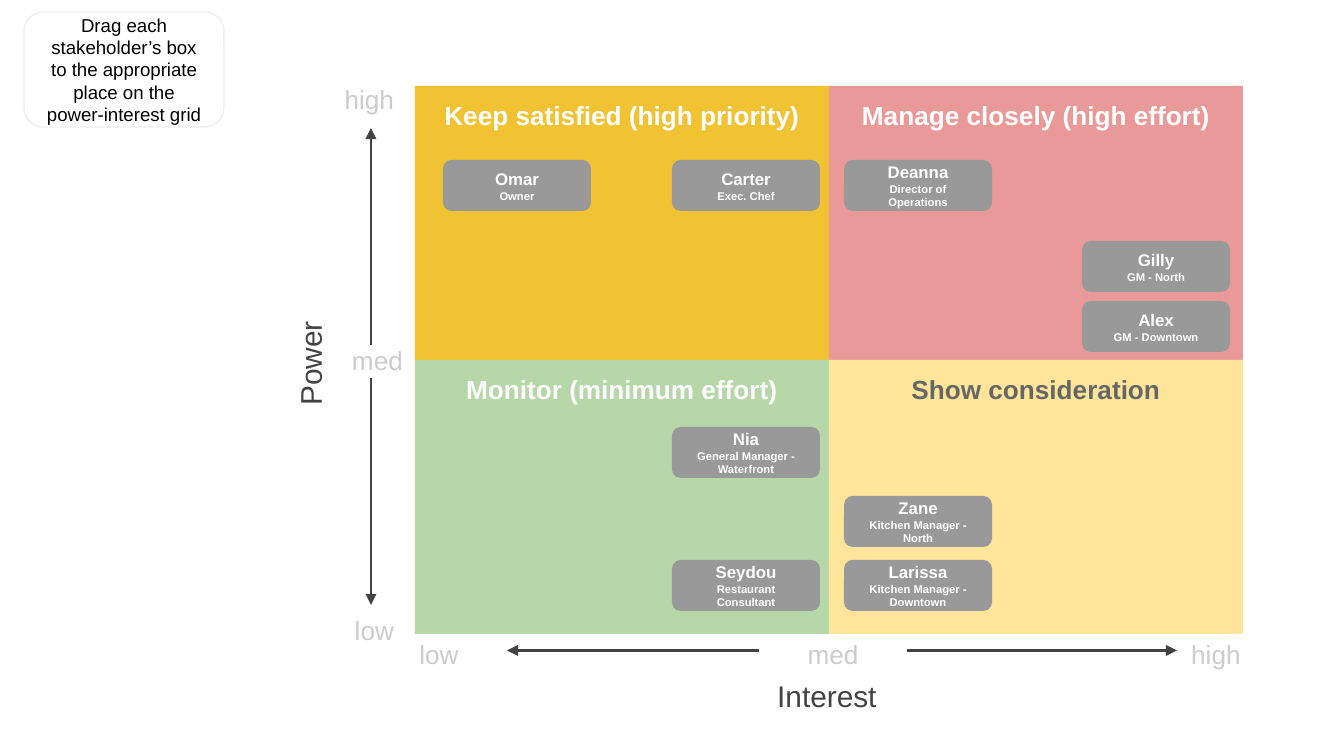
from lxml import etree
from pptx import Presentation
from pptx.dml.color import RGBColor
from pptx.enum.shapes import MSO_CONNECTOR, MSO_SHAPE
from pptx.enum.text import MSO_ANCHOR, PP_ALIGN
from pptx.oxml.ns import qn
from pptx.util import Pt

RECT, ROUND = MSO_SHAPE.RECTANGLE, MSO_SHAPE.ROUNDED_RECTANGLE
LINE = MSO_CONNECTOR.STRAIGHT
MID, TOP = MSO_ANCHOR.MIDDLE, MSO_ANCHOR.TOP
CENTER, RIGHT = PP_ALIGN.CENTER, PP_ALIGN.RIGHT

WHITE = RGBColor(0xFF, 0xFF, 0xFF)
BLACK = RGBColor(0, 0, 0)
DARK = RGBColor(0x43, 0x43, 0x43)
SLATE = RGBColor(0x66, 0x66, 0x66)
GRAY = RGBColor(0x99, 0x99, 0x99)
PALE = RGBColor(0xCC, 0xCC, 0xCC)
EDGE = RGBColor(0xEF, 0xEF, 0xEF)
GOLD = RGBColor(0xF1, 0xC2, 0x32)
ROSE = RGBColor(0xEA, 0x99, 0x99)
GREEN = RGBColor(0xB6, 0xD7, 0xA8)
CREAM = RGBColor(0xFF, 0xE5, 0x99)

# Content: quadrants run row by row
QUADS = [
    ("Keep satisfied (high priority)", GOLD, WHITE),
    ("Manage closely (high effort)", ROSE, WHITE),
    ("Monitor (minimum effort)", GREEN, WHITE),
    ("Show consideration", CREAM, SLATE),
]
# Name, role, left, top
PEOPLE = [
    ("Omar", "Owner", 443, 160),
    ("Deanna", "Director of Operations", 844, 160),
    ("Carter", "Exec. Chef", 672, 160),
    ("Gilly", "GM - North", 1082, 241),
    ("Alex", "GM - Downtown", 1082, 301),
    ("Zane", "Kitchen Manager - North", 844, 496),
    ("Larissa", "Kitchen Manager - Downtown", 844, 560),
    ("Seydou", "Restaurant Consultant", 672, 560),
    ("Nia", "General Manager - Waterfront", 672, 427),
]
NOTE = "Drag each stakeholder’s box to the appropriate place on the power-interest grid"
# Text, box
POWER = [
    ("high", (228, 70, 179, 35)),
    ("med", (325, 331, 91, 59)),
    ("low", (228, 601, 179, 35)),
]
INTEREST = [
    ("low", (371, 625, 136, 51)),
    ("med", (759, 625, 148, 51)),
    ("high", (1148, 625, 136, 51)),
]
GRID_X, GRID_Y, QUAD_W, QUAD_H = 415, 86, 414, 274
CARD_W, CARD_H = 148, 51
INSET = 13

SCALE = 914400 / 134.4


def px(n):
    return round(n * SCALE)


prs = Presentation()
prs.slide_width, prs.slide_height = px(1344), px(756)
slide = prs.slides.add_slide(prs.slide_layouts[6])
shapes = slide.shapes


def write(shape, *texts, sizes=(14,), color=DARK, bold=False, align=CENTER, anchor=TOP):
    frame = shape.text_frame
    frame.word_wrap = True
    frame.vertical_anchor = anchor
    frame.margin_left = frame.margin_right = px(INSET)
    frame.margin_top = frame.margin_bottom = px(INSET)
    for i, (text, size) in enumerate(zip(texts, sizes)):
        para = frame.add_paragraph() if i else frame.paragraphs[0]
        para.alignment = align
        run = para.add_run()
        run.text = text
        font = run.font
        font.name, font.size, font.bold = "Arial", Pt(size), bold
        font.color.rgb = color


def block(kind, box, fill=None, edge=None):
    shape = shapes.add_shape(kind, *map(px, box))
    shape.shadow.inherit = False
    if fill is None:
        shape.fill.background()
    else:
        shape.fill.solid()
        shape.fill.fore_color.rgb = fill
    if edge is None:
        shape.line.fill.background()
    else:
        shape.line.color.rgb = edge
        shape.line.width = Pt(0.75)
    return shape


def label(text, box, **style):
    shape = shapes.add_textbox(*map(px, box))
    write(shape, text, **style)
    return shape


def arrow(x1, y1, x2, y2):
    line = shapes.add_connector(LINE, *map(px, (x1, y1, x2, y2)))
    line.line.color.rgb = DARK
    line.line.width = Pt(1.5)
    props = line.line._get_or_add_ln()
    etree.SubElement(props, qn("a:tailEnd"), type="triangle")
    etree.SubElement(props.getparent(), qn("a:effectLst"))
    return line


# Quadrants
for i, (title, fill, color) in enumerate(QUADS):
    row, col = divmod(i, 2)
    box = (GRID_X + col * QUAD_W, GRID_Y + row * QUAD_H, QUAD_W, QUAD_H)
    write(block(RECT, box, fill), title, color=color, bold=True)

# Power axis
power = label("Power", (187, 340, 246, 47), sizes=(16,), anchor=MID)
power.rotation = 270
for text, box in POWER:
    label(text, box, color=PALE, align=RIGHT)
arrow(371, 345, 371, 128)
arrow(371, 378, 371, 605)

# Interest axis
low, med, high = [label(text, box, color=PALE) for text, box in INTEREST]
right = arrow(907, 650, 1177, 650)
right.begin_connect(med, 3)
right.end_y = right.begin_y
left = arrow(759, 650, 507, 650)
left.begin_connect(med, 1)
left.end_connect(low, 3)
label("Interest", (727, 665, 200, 63), sizes=(16,))

# Stakeholder cards
for name, role, x, y in PEOPLE:
    card = block(ROUND, (x, y, CARD_W, CARD_H), GRAY)
    write(card, name, role, sizes=(9, 6), color=WHITE, bold=True, anchor=MID)

# Instruction note
note = block(ROUND, (24, 12, 200, 115), edge=EDGE)
write(note, NOTE, sizes=(10,), color=BLACK, anchor=MID)

prs.save("out.pptx")
